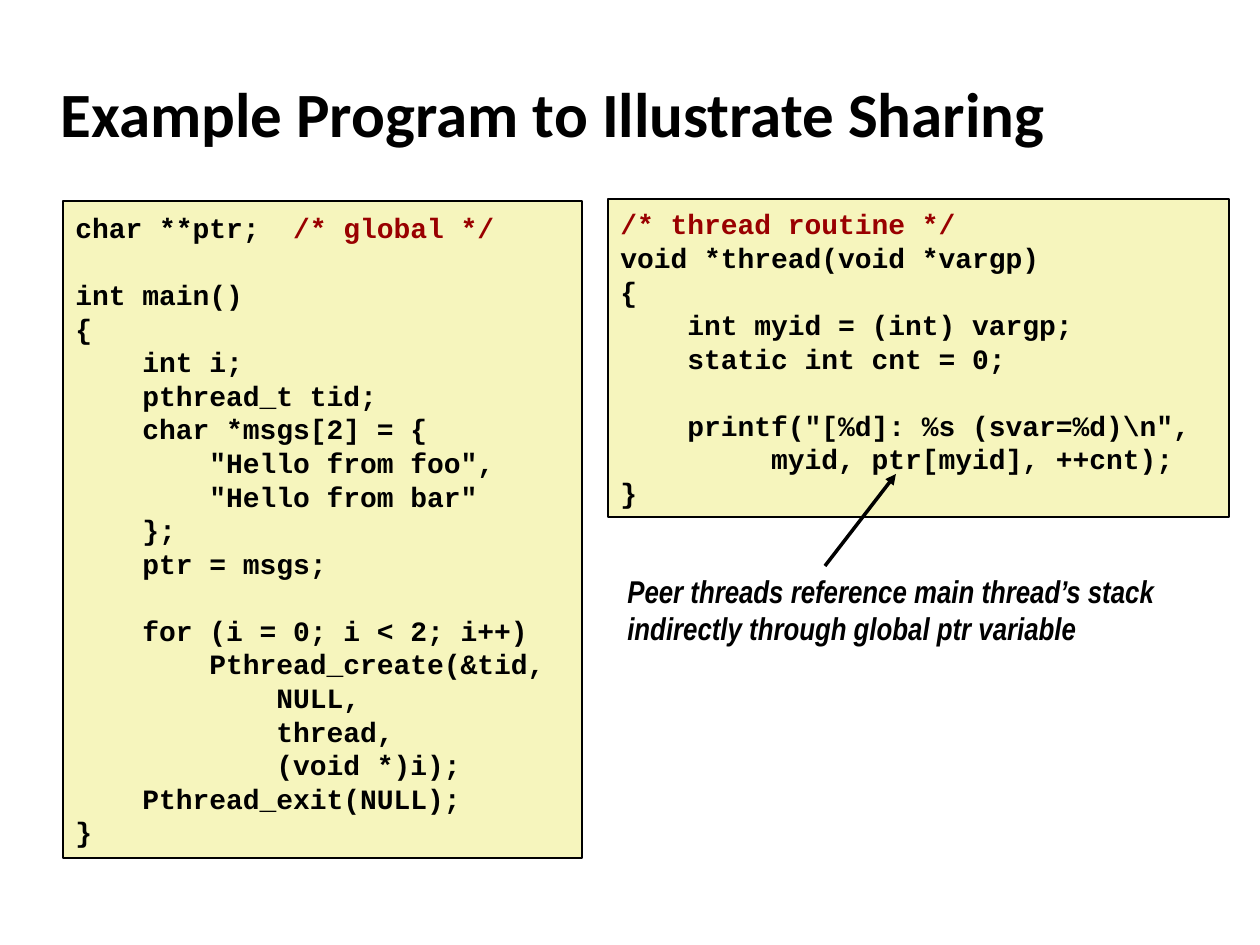
from lxml import etree
from pptx import Presentation, util as u
from pptx.dml.color import RGBColor
from pptx.enum import shapes, text
from pptx.oxml.ns import qn

PX = 914400 // 126
BLACK = RGBColor(0x00, 0x00, 0x00)
COMMENT_RED = RGBColor(0x99, 0x00, 0x00)
CODE_YELLOW = RGBColor(0xF6, 0xF5, 0xBD)

MAIN_CODE = r'''char **ptr;  /* global */

int main()
{
    int i;
    pthread_t tid;
    char *msgs[2] = {
        "Hello from foo",
        "Hello from bar"
    };
    ptr = msgs;

    for (i = 0; i < 2; i++)
        Pthread_create(&tid,
            NULL,
            thread,
            (void *)i);
    Pthread_exit(NULL);
}'''

THREAD_CODE = r'''/* thread routine */
void *thread(void *vargp)
{
    int myid = (int) vargp;
    static int cnt = 0;

    printf("[%d]: %s (svar=%d)\n",
         myid, ptr[myid], ++cnt);
}'''


def style(run, font, size, color=BLACK, italic=None):
    run.font.name = font
    run.font.size = u.Pt(size)
    run.font.bold = True
    run.font.italic = italic
    run.font.color.rgb = color


prs = Presentation()
prs.slide_width, prs.slide_height = u.Inches(10), u.Inches(7.5)
slide = prs.slides.add_slide(prs.slide_layouts[6])

# Title
title = slide.shapes.add_textbox(48 * PX, 60 * PX, 1172 * PX, 105 * PX).text_frame
title.word_wrap = True
title.vertical_anchor = text.MSO_ANCHOR.MIDDLE
title.text = "Example Program to Illustrate Sharing"
style(title.paragraphs[0].runs[0], "Calibri", 36)

# Code listings, with comments in red
for code, left, top, width, height in (
    (MAIN_CODE, 63, 201, 519, 657),
    (THREAD_CODE, 608, 199, 621, 318),
):
    listing = slide.shapes.add_shape(
        shapes.MSO_SHAPE.RECTANGLE, left * PX, top * PX, width * PX, height * PX)
    listing.shadow.inherit = False
    listing.fill.solid()
    listing.fill.fore_color.rgb = CODE_YELLOW
    listing.line.color.rgb = BLACK
    listing.line.width = u.Pt(1)
    frame = listing.text_frame
    frame.word_wrap = False
    frame.vertical_anchor = text.MSO_ANCHOR.MIDDLE
    frame.text = code
    for paragraph, line in zip(frame.paragraphs, code.split("\n")):
        paragraph.alignment = text.PP_ALIGN.LEFT
        statement, mark, comment = line.partition("/*")
        paragraph.text = statement
        for run in paragraph.runs:
            style(run, "Courier New", 16)
        if mark:
            remark = paragraph.add_run()
            remark.text = mark + comment
            style(remark, "Courier New", 16, COMMENT_RED)
        if not line:
            end = etree.SubElement(paragraph._p, qn("a:endParaRPr"), sz="1600", b="1")
            etree.SubElement(end, qn("a:latin"), typeface="Courier New")

# Remark on sharing, with an arrow to the use of ptr
note = slide.shapes.add_textbox(615 * PX, 571 * PX, 596 * PX, 77 * PX).text_frame
note.word_wrap = False
note.vertical_anchor = text.MSO_ANCHOR.MIDDLE
note.margin_top = note.margin_bottom = 0
note.text = ("Peer threads reference main thread’s stack\n"
             "indirectly through global ptr variable")
for paragraph in note.paragraphs:
    paragraph.alignment = text.PP_ALIGN.LEFT
    style(paragraph.runs[0], "Arial Narrow", 18, italic=True)

arrow = slide.shapes.add_connector(
    shapes.MSO_CONNECTOR.STRAIGHT, 825 * PX, 566 * PX, 896 * PX, 474 * PX)
arrow.line.color.rgb = BLACK
arrow.line.width = u.Pt(2)
etree.SubElement(arrow.line._get_or_add_ln(), qn("a:tailEnd"), type="triangle")
etree.SubElement(arrow._element.spPr, qn("a:effectLst"))

prs.save("out.pptx")
